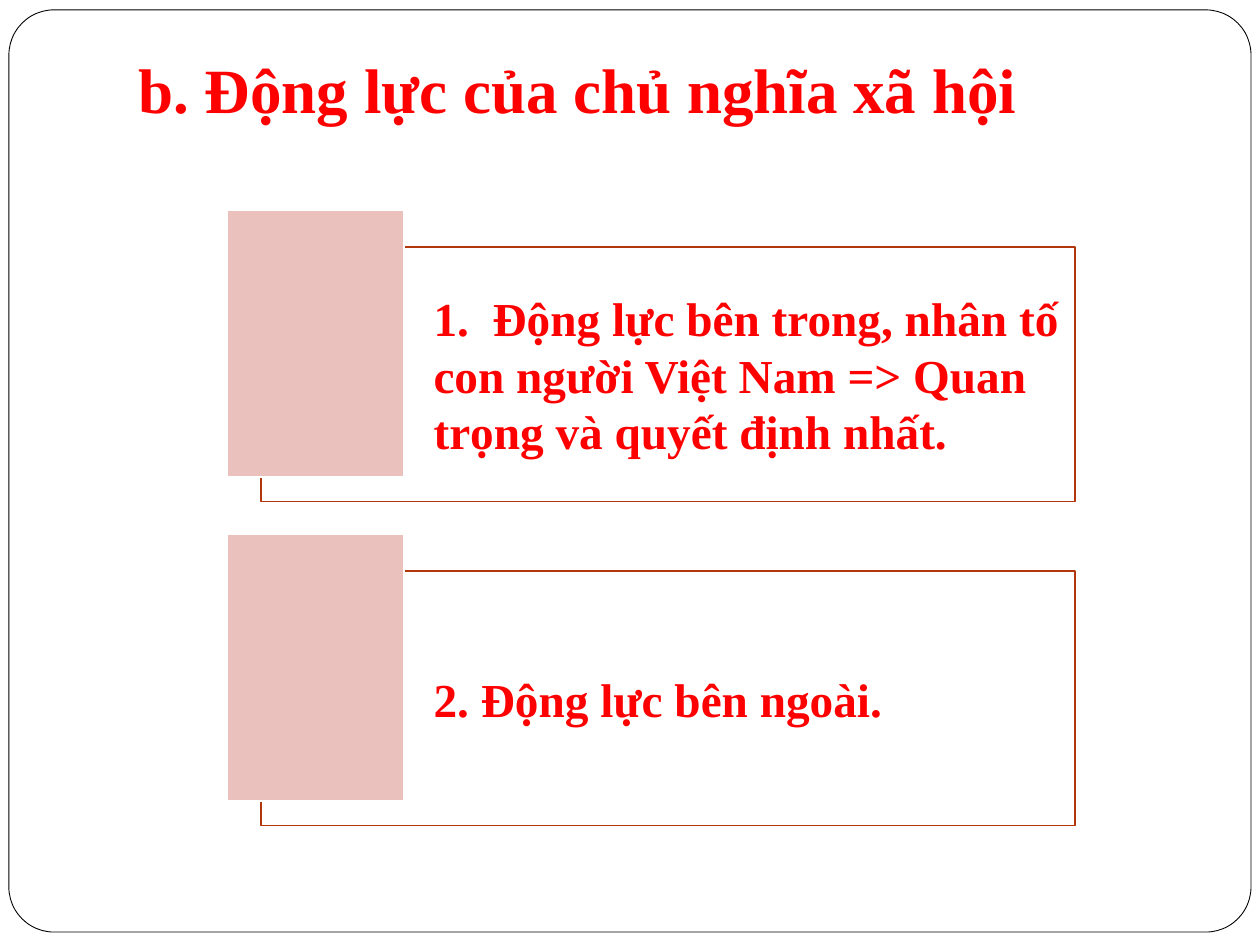
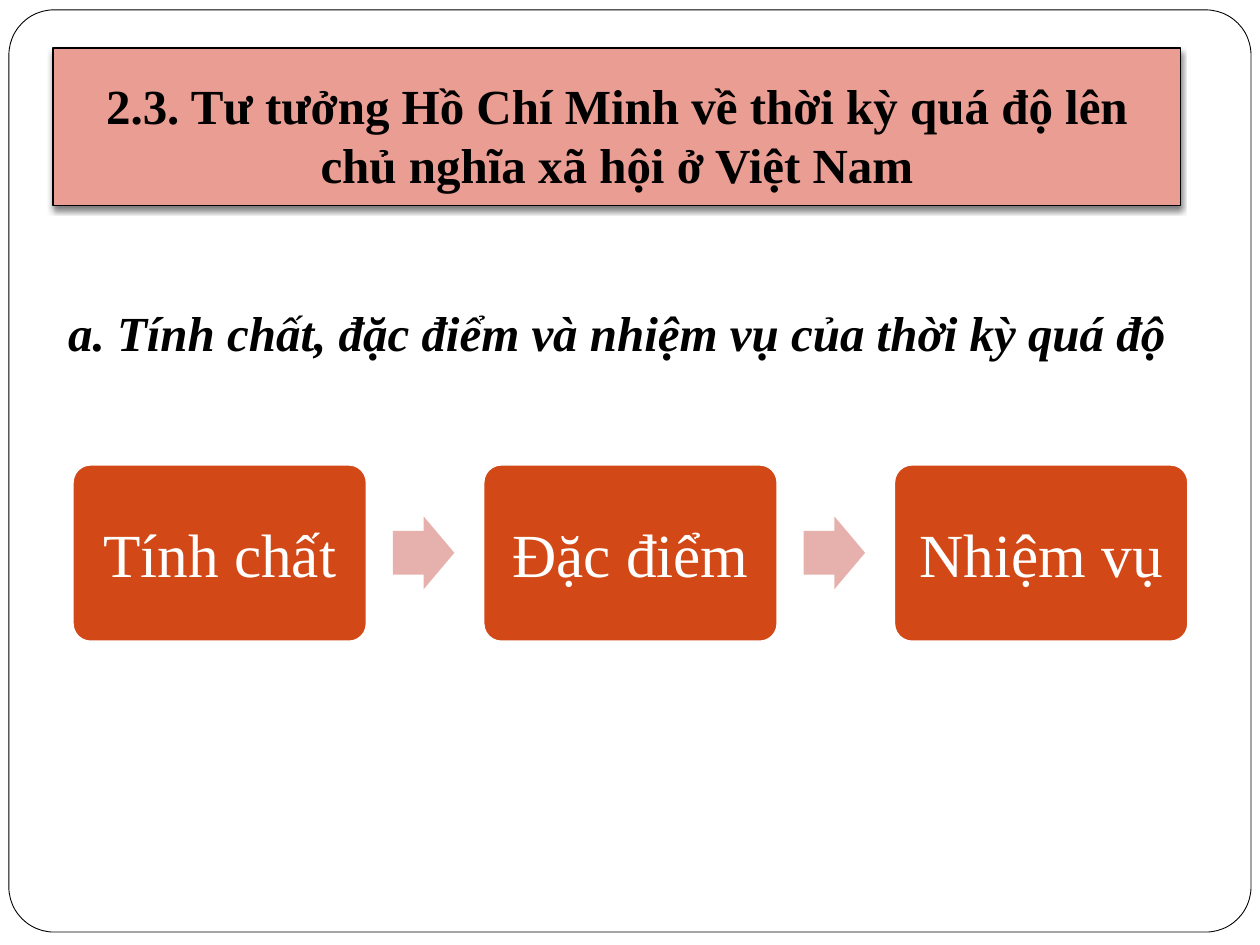
from lxml.etree import SubElement
from pptx import Presentation
from pptx.dml.color import RGBColor
from pptx.enum.shapes import MSO_SHAPE
from pptx.enum.text import MSO_ANCHOR, MSO_AUTO_SIZE, PP_ALIGN
from pptx.oxml.ns import qn
from pptx.util import Cm, Pt

WHITE = RGBColor(0xFF, 0xFF, 0xFF)
BLACK = RGBColor(0x00, 0x00, 0x00)
RED = RGBColor(0xFF, 0x00, 0x00)
RUST = RGBColor(0xB1, 0x36, 0x0B)
ORANGE = RGBColor(0xD3, 0x48, 0x17)
PINK = RGBColor(0xEA, 0xC1, 0xBD)
ARROW_PINK = RGBColor(0xE6, 0xB1, 0xAC)
BANNER_PINK = RGBColor(0xE9, 0x9D, 0x93)
FONT = "Times New Roman"


class Deck:
    def __init__(self):
        self.prs = Presentation()
        self.prs.slide_width = Cm(25.4)
        self.prs.slide_height = Cm(19.05)
        self.s = None

    def new_slide(self):
        self.s = self.prs.slides.add_slide(self.prs.slide_layouts[5])

    def master_frame(self):
        sp = self.shape(MSO_SHAPE.ROUNDED_RECTANGLE, 0.18, 0.2, 25.04, 18.59,
                        WHITE, BLACK, 0.5, [0.049])
        sp.element.nvSpPr.cNvPr.set("id", "20")
        self.prs.slide_master.shapes.element.insert(2, sp.element)

    def paint(self, sp, fill, line=None, width=0.75):
        sp.fill.solid()
        sp.fill.fore_color.rgb = fill
        if line is None:
            sp.line.fill.background()
        else:
            sp.line.color.rgb = line
            sp.line.width = Pt(width)

    def shape(self, kind, x, y, w, h, fill, line=None, width=0.75, adj=()):
        sp = self.s.shapes.add_shape(kind, Cm(x), Cm(y), Cm(w), Cm(h))
        sp.shadow.inherit = False
        self.paint(sp, fill, line, width)
        for i, value in enumerate(adj):
            sp.adjustments[i] = value
        return sp

    def set_text(self, sp, text, size, color, bold=False, italic=False,
                 align=PP_ALIGN.CENTER, anchor=MSO_ANCHOR.MIDDLE,
                 margins=(0.25, 0.13, 0.25, 0.13)):
        tf = sp.text_frame
        tf.word_wrap = True
        tf.auto_size = MSO_AUTO_SIZE.NONE
        tf.vertical_anchor = anchor
        (tf.margin_left, tf.margin_top,
         tf.margin_right, tf.margin_bottom) = map(Cm, margins)
        p = tf.paragraphs[0]
        p.text = text
        p.alignment = align
        p.font.name = FONT
        p.font.size = Pt(size)
        p.font.bold = bold
        p.font.italic = italic
        p.font.color.rgb = color

    def title(self, text, x, y, w, h, size, color, align):
        sp = self.s.shapes.title
        sp.left, sp.top, sp.width, sp.height = Cm(x), Cm(y), Cm(w), Cm(h)
        self.set_text(sp, text, size, color, bold=True, align=align,
                      anchor=MSO_ANCHOR.BOTTOM,
                      margins=(0.25, 0.13, 0.25, 0.25))
        return sp

    def banner(self, text, x, y, w, h):
        sp = self.title(text, x, y, w, h, 28, BLACK, PP_ALIGN.CENTER)
        self.paint(sp, BANNER_PINK, BLACK)
        effects = SubElement(sp.element.spPr, qn("a:effectLst"))
        shadow = SubElement(effects, qn("a:outerShdw"), blurRad=str(Pt(3)),
                            dist=str(Pt(2)), dir="5400000", rotWithShape="0")
        color = SubElement(shadow, qn("a:srgbClr"), val=str(BLACK))
        SubElement(color, qn("a:alpha"), val="50000")

    def subtitle(self, text, x, y, w, h):
        sp = self.s.shapes.add_textbox(Cm(x), Cm(y), Cm(w), Cm(h))
        self.set_text(sp, text, 28, BLACK, bold=True, italic=True,
                      anchor=MSO_ANCHOR.TOP)

    def panel(self, text, x, y):
        sp = self.shape(MSO_SHAPE.RECTANGLE, x, y, 16.41, 5.13, WHITE, RUST)
        self.set_text(sp, text, 27, RED, bold=True, align=PP_ALIGN.LEFT,
                      margins=(3.48, 0.28, 0.28, 0.28))
        self.shape(MSO_SHAPE.RECTANGLE, x - 0.69, y - 0.74, 3.58, 5.38,
                   PINK, WHITE, 1)

    def step(self, text, x, y):
        sp = self.shape(MSO_SHAPE.ROUNDED_RECTANGLE, x, y, 5.92, 3.56,
                        ORANGE, WHITE, 1, [0.1])
        self.set_text(sp, text, 35, WHITE, margins=[0.38] * 4)

    def arrow(self, x, y):
        self.shape(MSO_SHAPE.RIGHT_ARROW, x, y, 1.24, 1.47, ARROW_PINK,
                   adj=[0.6, 0.5])


def main():
    deck = Deck()

    deck.new_slide()
    deck.master_frame()
    deck.title("b. Động lực của chủ nghĩa xã hội", 2.54, -0.38, 21.59, 3.18,
               36, RED, PP_ALIGN.LEFT)
    forces = [
        "1.  Động lực bên trong, nhân tố con người Việt Nam => "
        "Quan trọng và quyết định nhất.",
        "2. Động lực bên ngoài.",
    ]
    for i, force in enumerate(forces):
        deck.panel(force, 5.26, 4.98 + i * 6.53)

    deck.new_slide()
    deck.banner("2.3. Tư tưởng Hồ Chí Minh về thời kỳ quá độ lên "
                "chủ nghĩa xã hội ở Việt Nam", 1.07, 0.97, 22.73, 3.18)
    deck.subtitle("a. Tính chất, đặc điểm và nhiệm vụ của thời kỳ quá độ",
                  1.07, 5.97, 22.73, 1.45)
    for i, topic in enumerate(["Tính chất", "Đặc điểm", "Nhiệm vụ"]):
        x = 1.47 + i * 8.28
        if i:
            deck.arrow(x - 1.83, 10.41)
        deck.step(topic, x, 9.37)

    deck.prs.save("out.pptx")


if __name__ == "__main__":
    main()
